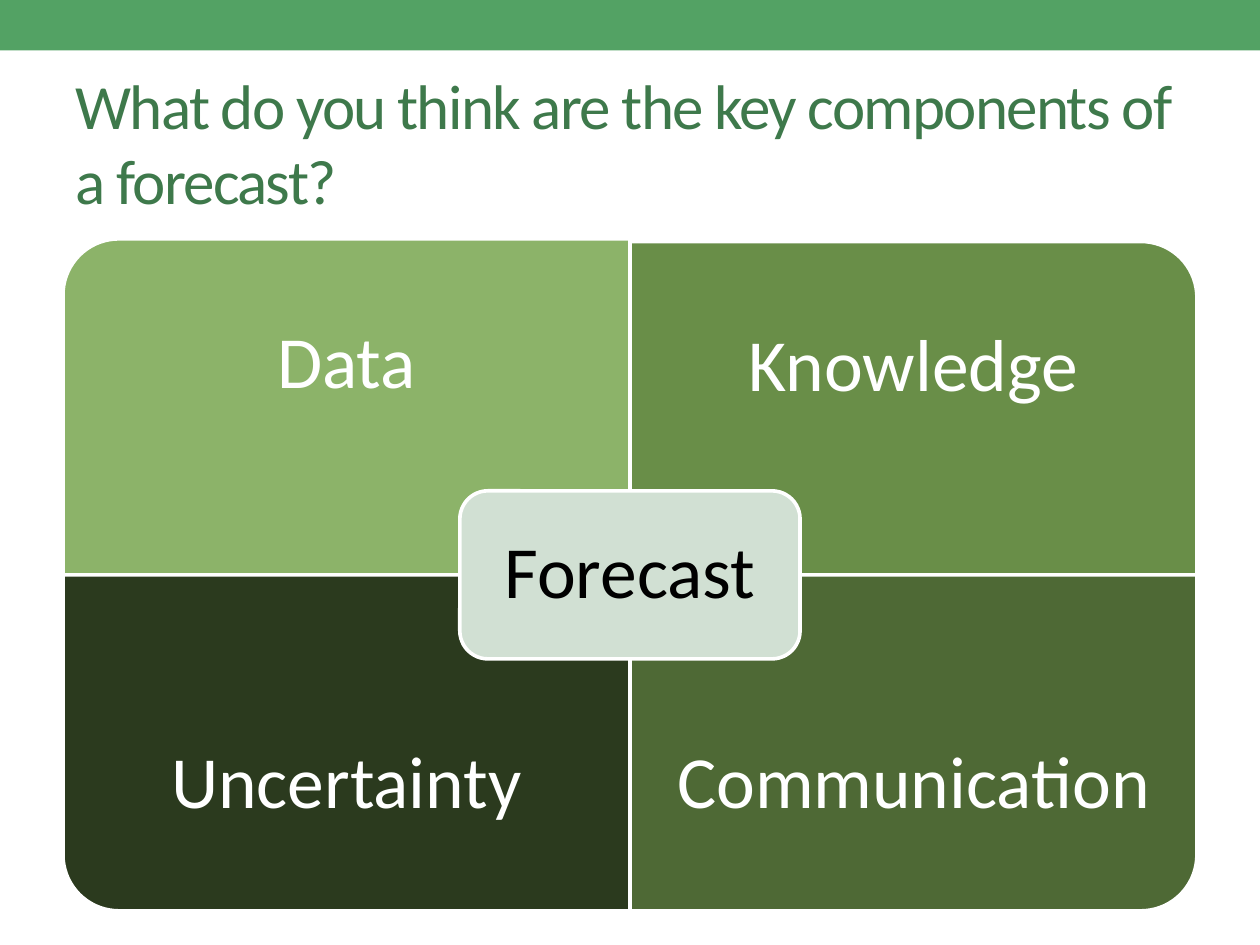
"""Build a slide showing the four components of a forecast."""
import math

import pptx
import pptx.dml.color
import pptx.enum.shapes
import pptx.enum.text
import pptx.util

Pt = pptx.util.Pt
SHAPE = pptx.enum.shapes.MSO_SHAPE
ALIGN = pptx.enum.text.PP_ALIGN

THEME = {
    "font": "Calibri", "title_size": 36, "label_size": 42,
    "banner": "53A264", "title": "3E794B", "center": "D1E0D3",
    "line": "FFFFFF", "light": "FFFFFF", "dark": "000000", "line_width": 2.08,
}
TITLE = "What do you think are the key components of a forecast?"
CENTER = "Forecast"
QUADRANTS = [
    ("Data", -1, -1, "8CB369", 0),
    ("Knowledge", 1, -1, "698E48", 1.5),
    ("Uncertainty", -1, 1, "2B3A1E", 0),
    ("Communication", 1, 1, "4E6935", 0),
]
MID_X, MID_Y = 360, 328.5
TILE_W, TILE_H, RADIUS = 324, 192, 32
OUTER_INSET, INNER_INSET, CENTER_INSET = 23.6, 71.6, 17.3
CENTER_W, CENTER_H = 194.4, 96
ARC_STEPS = 18


def rgb(value):
    return pptx.dml.color.RGBColor.from_string(value)


def write(p, text, size, color):
    r = p.add_run()
    r.text = text
    r.font.name = THEME["font"]
    r.font.size = Pt(size)
    r.font.color.rgb = rgb(color)
    return r


def paint(sp, fill):
    sp.shadow.inherit = False
    sp.fill.solid()
    sp.fill.fore_color.rgb = rgb(fill)


def outline(sp):
    sp.line.color.rgb = rgb(THEME["line"])
    sp.line.width = Pt(THEME["line_width"])


def label(sp, text, color, side, top, bottom):
    tf = sp.text_frame
    tf.word_wrap = True
    tf.vertical_anchor = pptx.enum.text.MSO_ANCHOR.MIDDLE
    tf.margin_left = tf.margin_right = Pt(side)
    tf.margin_top, tf.margin_bottom = Pt(top), Pt(bottom)
    p = tf.paragraphs[0]
    p.alignment = ALIGN.CENTER
    p.line_spacing = 0.9
    write(p, text, THEME["label_size"], color)


def add_quadrant(s, text, dx, dy, fill, shift):
    inner_y = MID_Y + shift
    outer_x, outer_y = MID_X + dx * TILE_W, inner_y + dy * TILE_H
    arc_x, arc_y = outer_x - dx * RADIUS, outer_y - dy * RADIUS
    angles = [math.pi / 2 * i / ARC_STEPS for i in range(ARC_STEPS + 1)]
    arc = [(arc_x + dx * RADIUS * math.sin(a), arc_y + dy * RADIUS * math.cos(a))
           for a in angles]
    points = [(MID_X, outer_y), *arc, (outer_x, inner_y)]
    builder = s.shapes.build_freeform(Pt(MID_X), Pt(inner_y))
    builder.add_line_segments([(Pt(x), Pt(y)) for x, y in points], close=True)
    sp = builder.convert_to_shape()
    paint(sp, fill)
    outline(sp)
    insets = (OUTER_INSET, INNER_INSET)[::-dy]
    label(sp, text, THEME["light"], OUTER_INSET, *insets)


def main():
    prs = pptx.Presentation()
    prs.slide_width, prs.slide_height = Pt(720), Pt(540)
    s = prs.slides.add_slide(prs.slide_layouts[5])

    banner = s.shapes.add_shape(SHAPE.RECTANGLE, 0, 0, prs.slide_width, Pt(28.8))
    paint(banner, THEME["banner"])
    banner.line.fill.background()

    title = s.shapes.title
    title.left, title.top, title.width, title.height = Pt(36), Pt(42), Pt(648), Pt(78)
    tf = title.text_frame
    tf.word_wrap = True
    tf.auto_size = pptx.enum.text.MSO_AUTO_SIZE.NONE
    tf.vertical_anchor = pptx.enum.text.MSO_ANCHOR.MIDDLE
    p = tf.paragraphs[0]
    p.alignment = ALIGN.LEFT
    r = write(p, TITLE, THEME["title_size"], THEME["title"])
    r.font._element.set("spc", "-100")

    for quadrant in QUADRANTS:
        add_quadrant(s, *quadrant)

    center = s.shapes.add_shape(
        SHAPE.ROUNDED_RECTANGLE, Pt(MID_X - CENTER_W / 2), Pt(MID_Y - CENTER_H / 2),
        Pt(CENTER_W), Pt(CENTER_H))
    paint(center, THEME["center"])
    outline(center)
    label(center, CENTER, THEME["dark"], CENTER_INSET, CENTER_INSET, CENTER_INSET)

    prs.save("out.pptx")


if __name__ == "__main__":
    main()
